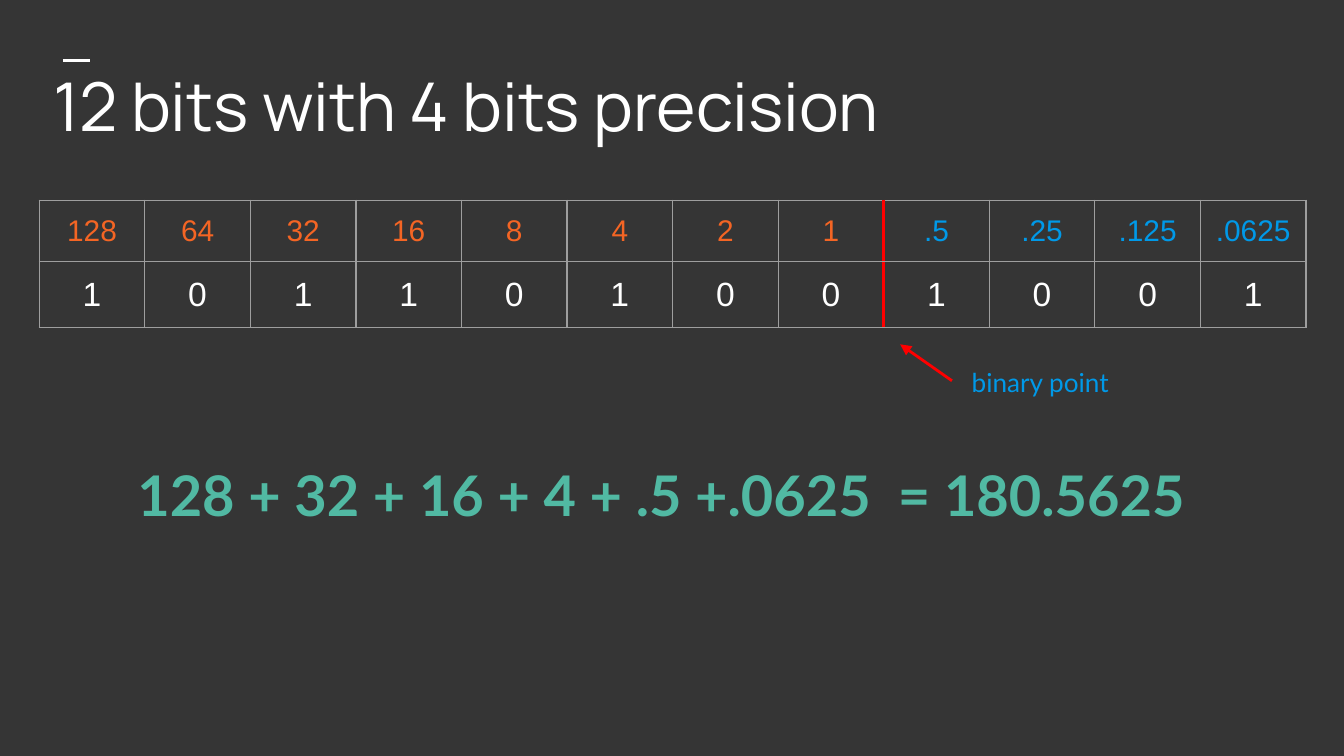
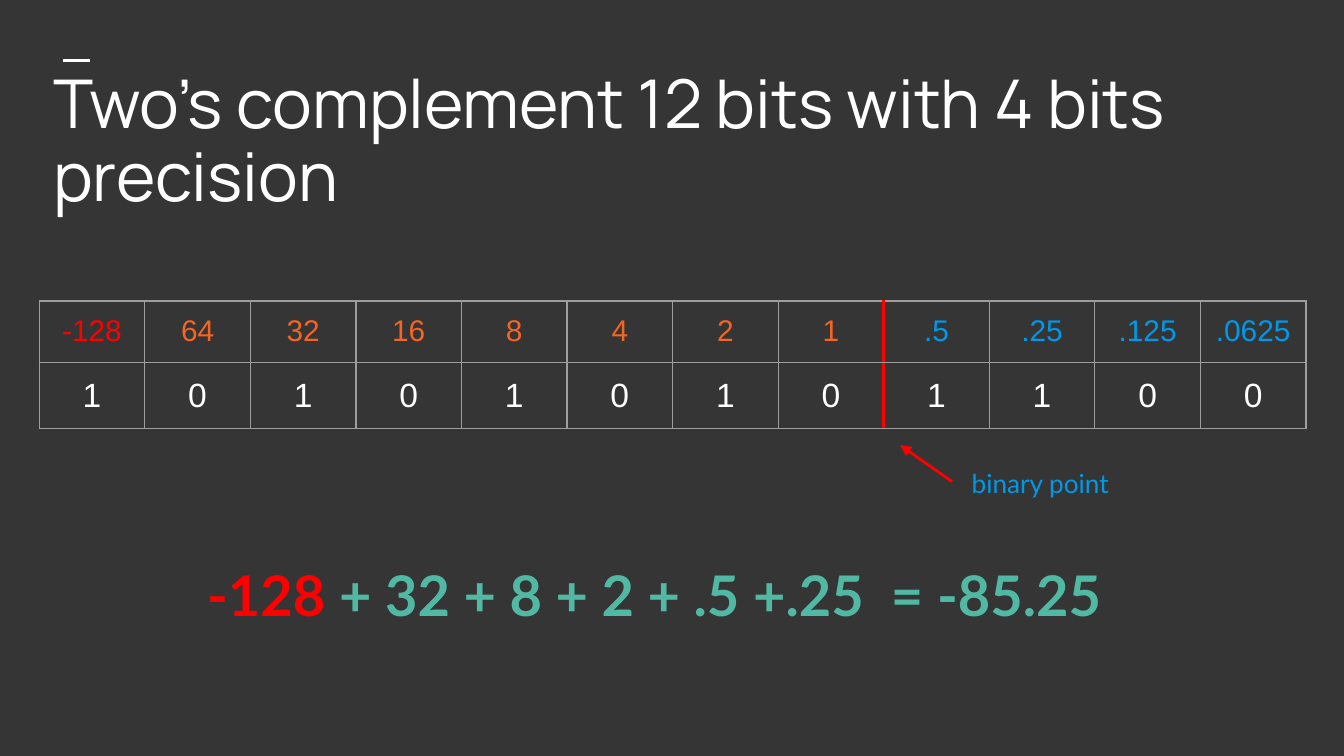
from lxml import etree
from pptx import Presentation
from pptx.dml.color import RGBColor
from pptx.enum.shapes import MSO_CONNECTOR
from pptx.enum.text import MSO_ANCHOR, PP_ALIGN
from pptx.oxml import parse_xml
from pptx.oxml.ns import nsdecls, qn
from pptx.util import Pt

PX = 9525  # EMU per px, 96 px to the inch
STRAIGHT = MSO_CONNECTOR.STRAIGHT
LEFT, CENTER = PP_ALIGN.LEFT, PP_ALIGN.CENTER
TOP, MIDDLE = MSO_ANCHOR.TOP, MSO_ANCHOR.MIDDLE

DARK = RGBColor(0x35, 0x35, 0x35)
WHITE = RGBColor(0xFF, 0xFF, 0xFF)
GRAY = RGBColor(0x9E, 0x9E, 0x9E)
RED = RGBColor(0xFF, 0x00, 0x00)
ORANGE = RGBColor(0xF4, 0x65, 0x24)
BLUE = RGBColor(0x00, 0x99, 0xE8)
TEAL = RGBColor(0x51, 0xB9, 0xA3)

MARGIN = 10
TABLE_X, TABLE_W, ROW_H = 28, 905, 44
WHOLE_BITS = 8
PLACES = "64 32 16 8 4 2 1 .5 .25 .125 .0625".split()

# The last space of each sum is larger and sets the height of its line.
SLIDES = [
    dict(title="12 bits with 4 bits precision", title_y=41, table_y=143,
         first="128", first_color=ORANGE, bits="101101001001",
         total=[("128 + 32 + 16 + 4 + .5 +.0625  = 180.5625", TEAL, 30),
                (" ", TEAL, 38)]),
    dict(title="Two’s complement 12 bits with 4 bits precision", title_y=65, table_y=215,
         first="-128", first_color=RED, bits="101010101100",
         total=[("-128", RED, 30), (" + 32 + 8 + 2 + .5 +.25  = -85.25 ", TEAL, 30),
                (" ", TEAL, 38)]),
]


def add_text(s, box, runs, font="Lato", bold=False, align=LEFT, anchor=TOP,
             spacing=None, after=None):
    """Add a text box; runs holds (text, colour, size) tuples."""
    tf = s.shapes.add_textbox(*(v * PX for v in box)).text_frame
    tf.word_wrap = True
    tf.vertical_anchor = anchor
    tf.margin_left = tf.margin_right = tf.margin_top = tf.margin_bottom = MARGIN * PX
    p = tf.paragraphs[0]
    p.alignment = align
    p.line_spacing = spacing
    p.space_after = after
    for text, color, size in runs:
        r = p.add_run()
        r.text = text
        r.font.name = font
        r.font.size = Pt(size)
        r.font.bold = bold
        r.font.color.rgb = color


def add_line(s, points, color, arrow=False):
    line = s.shapes.add_connector(STRAIGHT, *(v * PX for v in points))
    line.line.color.rgb = color
    line.line.width = Pt(1.5)
    if arrow:
        etree.SubElement(line.line._get_or_add_ln(), qn("a:tailEnd"), type="triangle")
    etree.SubElement(line._element.spPr, qn("a:effectLst"))


prs = Presentation()
prs.slide_width, prs.slide_height = 960 * PX, 540 * PX

for data in SLIDES:
    s = prs.slides.add_slide(prs.slide_layouts[6])
    s.background.fill.solid()
    s.background.fill.fore_color.rgb = DARK
    add_line(s, (45, 43, 64, 43), WHITE)

    y = data["table_y"]
    rows = [[data["first"], *PLACES], list(data["bits"])]
    count = len(rows[0])
    table = s.shapes.add_table(len(rows), count, TABLE_X * PX, y * PX,
                               TABLE_W * PX, len(rows) * ROW_H * PX).table
    table.first_row = table.horz_banding = False
    for col in table.columns:
        col.width = TABLE_W * PX // count
    for i, row in enumerate(rows):
        table.rows[i].height = ROW_H * PX
        for j, text in enumerate(row):
            cell = table.cell(i, j)
            cell.fill.background()
            cell.margin_left = cell.margin_right = MARGIN * PX
            cell.margin_top = cell.margin_bottom = MARGIN * PX
            p = cell.text_frame.paragraphs[0]
            p.alignment = CENTER
            r = p.add_run()
            r.text = text
            r.font.name = "Arial"
            r.font.size = Pt(18 if i else 16)
            if i:
                r.font.color.rgb = WHITE
            elif j == 0:
                r.font.color.rgb = data["first_color"]
            else:
                r.font.color.rgb = ORANGE if j < WHOLE_BITS else BLUE

            point_side = {WHOLE_BITS - 1: "R", WHOLE_BITS: "L"}.get(j)
            for k, side in enumerate("LRTB"):
                color, width = (RED, 1.5) if side == point_side else (GRAY, 0.75)
                cell._tc.get_or_add_tcPr().insert(k, parse_xml(
                    f'<a:ln{side} {nsdecls("a")} w="{Pt(width)}"><a:solidFill>'
                    f'<a:srgbClr val="{color}"/></a:solidFill></a:ln{side}>'))

    add_text(s, (28, data["title_y"], 905, 75), [(data["title"], WHITE, 36)],
             font="Manrope", anchor=MIDDLE, spacing=0.9, after=Pt(10))
    add_text(s, (77, y + 165, 803, 81), data["total"], bold=True, align=CENTER)
    add_line(s, (680, y + 129, 643, y + 103), RED, arrow=True)
    add_text(s, (684, y + 109, 124, 42), [("binary point", BLUE, 14)])

prs.save("out.pptx")
